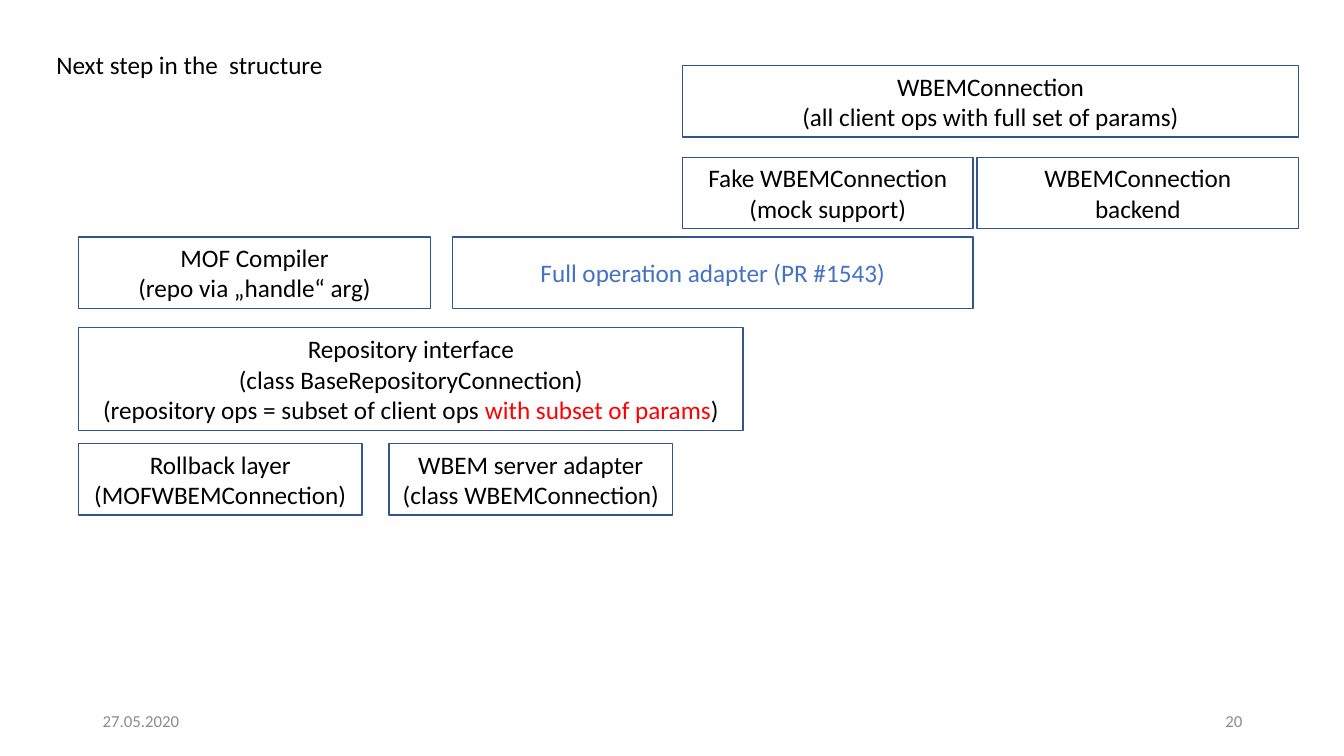
import pptx
import pptx.util
import pptx.dml.color
import pptx.enum.shapes
import pptx.enum.text

Inches = pptx.util.Inches
Align = pptx.enum.text.PP_ALIGN
Anchor = pptx.enum.text.MSO_ANCHOR

# Content
COLOURS = {"text": "000000", "planned": "4472C4", "changed": "FF0000",
           "outline": "325491", "footer": "8C8C8C"}
FONT = "Calibri"
TITLE = "Next step in the  structure"
DATE, PAGE = "27.05.2020", "20"

# Row: (top, height); column edges in inches
ROWS = {"client": (0.65, 0.71), "backend": (1.56, 0.71), "adapter": (2.35, 0.71),
        "interface": (3.25, 1.02), "storage": (4.4, 0.71)}
LEFT, MIDDLE, RIGHT = 0.78, 6.77, 12.88
STORAGE_WIDTH = 2.81
FAKE_END = 9.65

# Box: (row, left edge, right edge, lines); a line is a list of (text, colour) pieces
BOXES = [
    ("client", MIDDLE, RIGHT, [[("WBEMConnection", "text")],
                               [("(all client ops with full set of params)", "text")]]),
    ("backend", MIDDLE, FAKE_END, [[("Fake WBEMConnection", "text")],
                                   [("(mock support)", "text")]]),
    ("backend", FAKE_END + 0.04, RIGHT, [[("WBEMConnection", "text")],
                                         [("backend", "text")]]),
    ("adapter", LEFT, 4.27, [[("MOF Compiler", "text")],
                             [("(repo via „handle“ arg)", "text")]]),
    ("adapter", 4.49, FAKE_END, [[("Full operation adapter (PR #1543)", "planned")]]),
    ("interface", LEFT, 7.37, [[("Repository interface", "text")],
                               [("(class BaseRepositoryConnection)", "text")],
                               [("(repository ops = subset of client ops ", "text"),
                                ("with subset of params", "changed"), (")", "text")]]),
    ("storage", LEFT, LEFT + STORAGE_WIDTH, [[("Rollback layer", "text")],
                                             [("(MOFWBEMConnection)", "text")]]),
    ("storage", 3.86, 3.86 + STORAGE_WIDTH, [[("WBEM server adapter", "text")],
                                             [("(class WBEMConnection)", "text")]]),
]


def rgb(name):
    return pptx.dml.color.RGBColor.from_string(COLOURS[name])


def write_lines(text_frame, lines, size, alignment):
    for index, pieces in enumerate(lines):
        paragraph = text_frame.add_paragraph() if index else text_frame.paragraphs[0]
        paragraph.alignment = alignment
        for text, colour in pieces:
            run = paragraph.add_run()
            run.text = text
            run.font.name = FONT
            run.font.size = pptx.util.Pt(size)
            run.font.color.rgb = rgb(colour)


def add_box(slide, row, left, right, lines):
    top, height = ROWS[row]
    shape = slide.shapes.add_shape(pptx.enum.shapes.MSO_SHAPE.RECTANGLE, Inches(left),
                                   Inches(top), Inches(right - left), Inches(height))
    shape.shadow.inherit = False
    shape.fill.background()
    shape.line.color.rgb = rgb("outline")
    shape.line.width = pptx.util.Pt(1)
    shape.text_frame.word_wrap = True
    shape.text_frame.vertical_anchor = Anchor.MIDDLE
    write_lines(shape.text_frame, lines, 18, Align.CENTER)


def add_label(slide, place, text, size, colour, alignment, anchor, wrap):
    label = slide.shapes.add_textbox(*(Inches(length) for length in place))
    label.text_frame.word_wrap = wrap
    label.text_frame.vertical_anchor = anchor
    write_lines(label.text_frame, [[(text, colour)]], size, alignment)


def main():
    presentation = pptx.Presentation()
    presentation.slide_width = Inches(13.33)
    presentation.slide_height = Inches(7.5)
    slide = presentation.slides.add_slide(presentation.slide_layouts[6])

    # Title and layer boxes
    add_label(slide, (0.46, 0.44, 2.88, 0.4), TITLE, 18, "text",
              Align.LEFT, Anchor.TOP, False)
    for box in BOXES:
        add_box(slide, *box)

    # Footer
    for left, text, alignment in ((0.92, DATE, Align.LEFT), (9.42, PAGE, Align.RIGHT)):
        add_label(slide, (left, 6.95, 3, 0.4), text, 12, "footer",
                  alignment, Anchor.MIDDLE, True)

    presentation.save("out.pptx")


if __name__ == "__main__":
    main()
